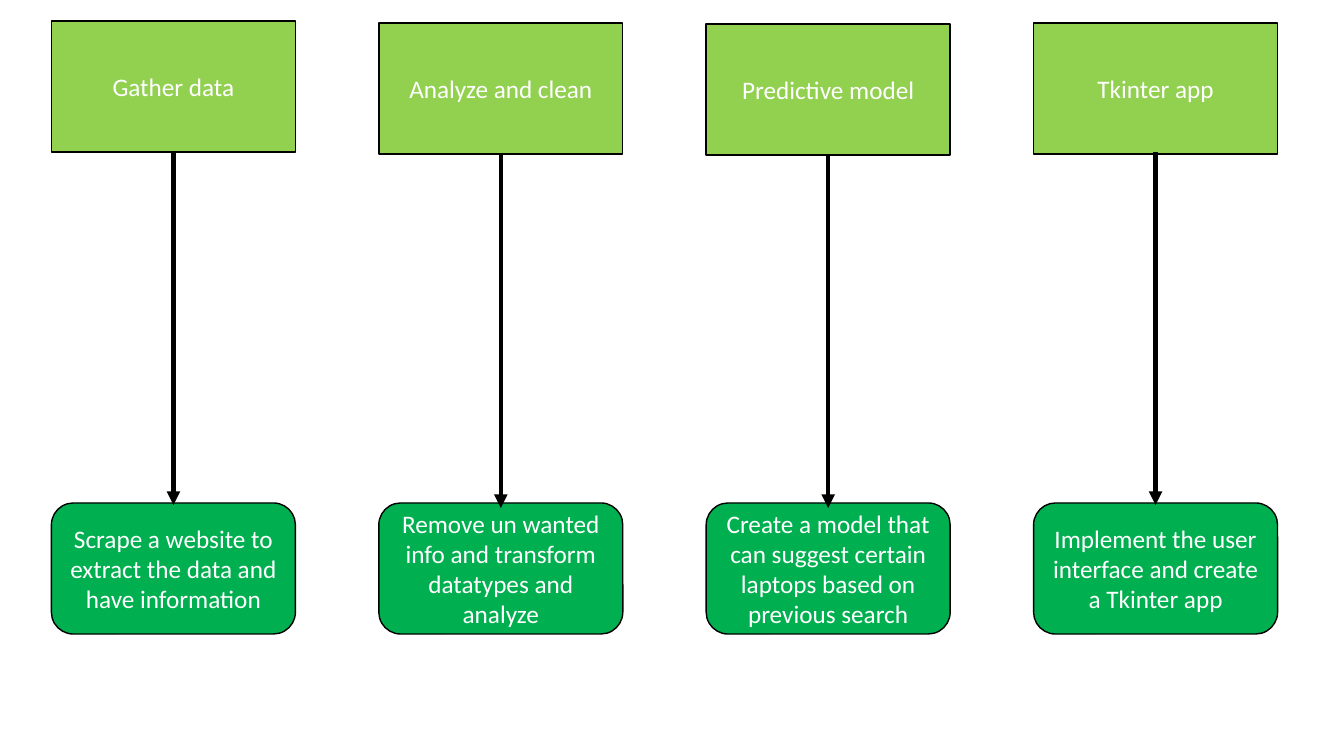
from lxml import etree
from pptx import Presentation
from pptx.dml.color import RGBColor
from pptx.enum import shapes, text
from pptx.oxml import ns
from pptx.util import Inches, Pt

COLORS = {"step": "92D050", "detail": "00B050", "line": "000000", "text": "FFFFFF"}
FONT = "Calibri"

# Grid in inches
LEFT, COLUMN_PITCH = 0.51, 3.247
BOX_W, BOX_H = 2.42, 1.3
DETAIL_TOP = 4.99
ARROW_LENGTH = 3.5

# Step, its detail, top of the step box, start of the arrow
STAGES = [
    ("Gather data",
     "Scrape a website to extract the data and have information", 0.21, 1.51),
    ("Analyze and clean",
     "Remove un wanted info and transform datatypes and analyze", 0.23, 1.54),
    ("Predictive model",
     "Create a model that can suggest certain laptops based on previous search",
     0.24, 1.54),
    ("Tkinter app",
     "Implement the user interface and create a Tkinter app", 0.23, 1.51),
]


def rgb(name):
    return RGBColor.from_string(COLORS[name])


def add_box(slide, preset, left, top, fill, words):
    sp = slide.shapes.add_shape(
        preset, Inches(left), Inches(top), Inches(BOX_W), Inches(BOX_H))
    sp.shadow.inherit = False
    sp.fill.solid()
    sp.fill.fore_color.rgb = rgb(fill)
    sp.line.color.rgb = rgb("line")
    sp.line.width = Pt(1)
    tf = sp.text_frame
    tf.word_wrap = True
    tf.vertical_anchor = text.MSO_ANCHOR.MIDDLE
    p = tf.paragraphs[0]
    p.alignment = text.PP_ALIGN.CENTER
    r = p.add_run()
    r.text = words
    r.font.name = FONT
    r.font.size = Pt(18)
    r.font.color.rgb = rgb("text")


def add_down_arrow(slide, x, top):
    line = slide.shapes.add_connector(
        shapes.MSO_CONNECTOR.STRAIGHT,
        Inches(x), Inches(top), Inches(x), Inches(top + ARROW_LENGTH))
    line.line.color.rgb = rgb("line")
    line.line.width = Pt(3.25)
    ln = line.line._get_or_add_ln()
    etree.SubElement(ln, ns.qn("a:tailEnd"), type="triangle")
    etree.SubElement(line._element.spPr, ns.qn("a:effectLst"))


def main():
    prs = Presentation()
    prs.slide_width, prs.slide_height = Inches(13.33), Inches(7.5)
    slide = prs.slides.add_slide(prs.slide_layouts[6])
    preset = shapes.MSO_SHAPE
    for column, (step, detail, step_top, arrow_top) in enumerate(STAGES):
        left = LEFT + column * COLUMN_PITCH
        add_box(slide, preset.RECTANGLE, left, step_top, "step", step)
        add_box(slide, preset.ROUNDED_RECTANGLE, left, DETAIL_TOP, "detail", detail)
        add_down_arrow(slide, left + BOX_W / 2, arrow_top)
    prs.save("out.pptx")


if __name__ == "__main__":
    main()
